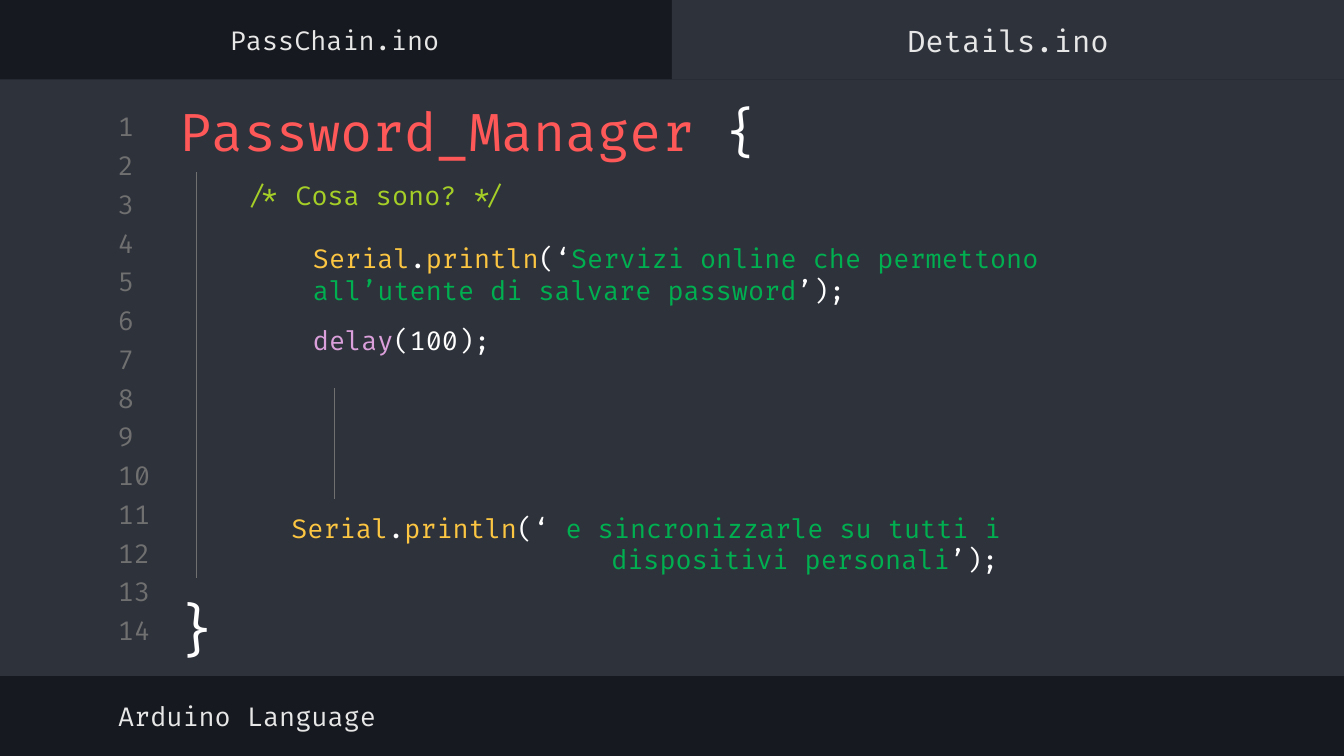
from lxml import etree
from pptx import Presentation
from pptx import util as u
from pptx.dml.color import RGBColor
from pptx.enum import shapes, text
from pptx.oxml.ns import qn

INK, PANEL = "16191F", "2E323B"
GREY, PALE, WHITE = "707070", "E7E7E7", "FFFFFF"
RED, YELLOW, GREEN = "FF5858", "FCC642", "00B050"
LILAC, LIME = "DBA0DB", "A5CF27"
LEFT, CENTER = text.PP_ALIGN.LEFT, text.PP_ALIGN.CENTER
TOP, MIDDLE = text.MSO_ANCHOR.TOP, text.MSO_ANCHOR.MIDDLE


def rgb(hex_color):
    return RGBColor.from_string(hex_color)


class EditorSlide:
    """Holds the code-editor style and the slide being drawn."""

    font = "Fira Code"

    def __init__(self, slide):
        self.slide = slide
        self.shapes = slide.shapes

    def background(self, color):
        fill = self.slide.background.fill
        fill.solid()
        fill.fore_color.rgb = rgb(color)

    def panel(self, left, top, width, height):
        panel = self.shapes.add_shape(
            shapes.MSO_SHAPE.RECTANGLE, *map(u.Inches, (left, top, width, height)))
        panel.shadow.inherit = False
        panel.fill.solid()
        panel.fill.fore_color.rgb = rgb(PANEL)
        panel.line.fill.background()

    def guide(self, x, top, bottom):
        guide = self.shapes.add_connector(
            shapes.MSO_CONNECTOR.STRAIGHT, *map(u.Inches, (x, top, x, bottom)))
        guide.line.color.rgb = rgb(GREY)
        guide.line.width = u.Pt(0.75)
        etree.SubElement(guide.element.spPr, qn("a:effectLst"))

    def code(self, box, lines, size=14, align=LEFT, anchor=MIDDLE,
             margin=0, first_indent=0, before=0):
        """Write lines of (words, colour) pieces into a text box."""
        frame = self.shapes.add_textbox(*map(u.Inches, box)).text_frame
        frame.word_wrap = True
        frame.vertical_anchor = anchor
        frame.margin_left = frame.margin_right = u.Inches(0.1)
        frame.margin_top = frame.margin_bottom = u.Inches(0.1)
        for i, pieces in enumerate(lines):
            line = frame.paragraphs[0] if i == 0 else frame.add_paragraph()
            line.alignment = align
            line.space_before = u.Pt(before)
            line.font.name = self.font
            line.font.size = u.Pt(size)
            properties = line._p.get_or_add_pPr()
            properties.set("marL", str(u.Inches(margin)))
            properties.set("indent", str(u.Inches(first_indent)))
            for words, color in pieces:
                piece = line.add_run()
                piece.text = words
                piece.font.color.rgb = rgb(color)


def main():
    deck = Presentation()
    deck.slide_width = u.Inches(10)
    deck.slide_height = deck.slide_width * 9 // 16
    editor = EditorSlide(deck.slides.add_slide(deck.slide_layouts[6]))

    editor.background(INK)
    editor.panel(0, 0.59, 10, 4.44)
    editor.panel(5, 0, 5, 0.59)

    first_top, last_top, line_count = 0.82, 4.57, 14
    pitch = (last_top - first_top) / (line_count - 1)
    for i in range(line_count):
        editor.code((0.78, first_top + i * pitch, 0.47, 0.24),
                    [[(str(i + 1), GREY)]])

    editor.code((0.78, 5.13, 5.32, 0.39), [[("Arduino Language", PALE)]])
    editor.code((-0.01, 0.1, 5, 0.39), [[("PassChain.ino", PALE)]], align=CENTER)
    editor.code((5, 0.02, 5, 0.56), [[("Details.ino", PALE)]], 16, CENTER)

    editor.code((1.24, 0.68, 5.07, 0.58),
                [[("Password_Manager ", RED), ("{", WHITE)]], 28)

    println = [("Serial", YELLOW), (".", WHITE), ("println", YELLOW)]
    call_end = ("’);", WHITE)
    editor.code(
        (1.74, 1.56, 6.79, 1.33),
        [println + [("(‘", WHITE),
                    ("Servizi online che permettono all’utente di salvare password", GREEN),
                    call_end],
         [("delay", LILAC), ("(100);", WHITE)]],
        margin=0.49, before=10)

    editor.code((1.19, 4.32, 0.55, 0.71), [[("}", WHITE)]], 30, CENTER, TOP)
    editor.guide(1.46, 1.28, 4.3)
    editor.guide(2.49, 2.89, 3.71)
    editor.code(
        (2.03, 3.71, 5.93, 0.91),
        [println + [("(‘ ", WHITE),
                    ("e sincronizzarle su tutti i dispositivi personali", GREEN),
                    call_end]],
        anchor=TOP, margin=2.42, first_indent=-2.38)
    editor.code((1.74, 1.27, 2.57, 0.36), [[("/* Cosa sono? */", LIME)]])

    deck.save("out.pptx")


if __name__ == "__main__":
    main()
